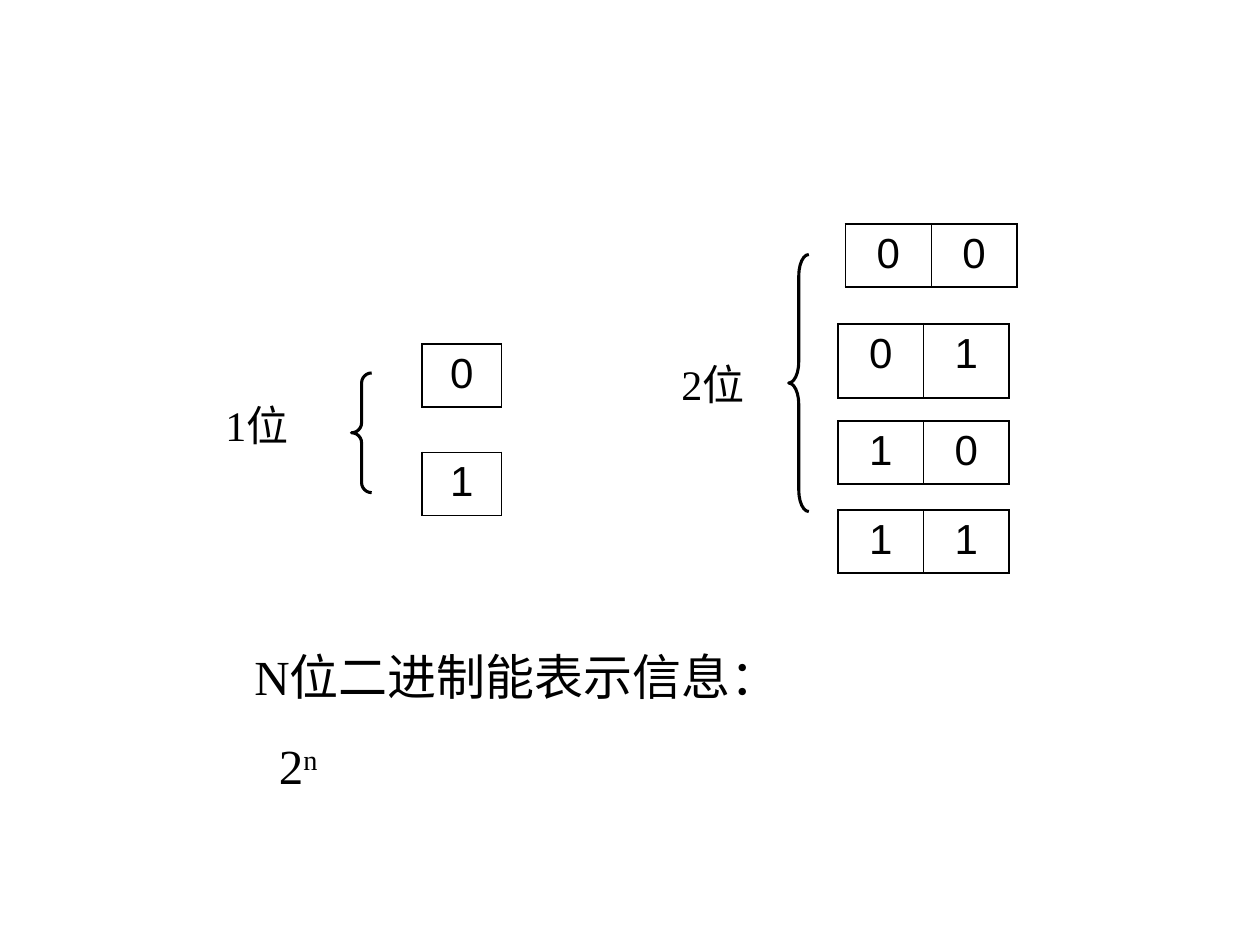
"""Build a slide showing how many values one and two bits can represent."""
from lxml import etree
from pptx import Presentation
from pptx.dml.color import RGBColor
from pptx.enum.shapes import MSO_SHAPE as SHAPE
from pptx.enum.text import MSO_AUTO_SIZE as FIT, PP_ALIGN as ALIGN
from pptx.oxml.ns import qn
from pptx.util import Inches, Pt

BLACK = "000000"
SERIF, SANS = "Times New Roman", "Arial"
THICK, THIN = 1.08, 0.45

BIT_TABLES = [
    ("0", 3.35, 2.73, 0.63, 0.5),
    ("1", 3.35, 3.59, 0.63, 0.5),
    ("00", 6.71, 1.78, 0.68, 0.5),
    ("01", 6.65, 2.57, 0.68, 0.59),
    ("10", 6.65, 3.34, 0.68, 0.5),
    ("11", 6.65, 4.05, 0.68, 0.5),
]
BRACES = [(2.79, 2.96, 0.16, 0.95, 0.5), (6.26, 2.02, 0.16, 2.04, 1.06)]
LABELS = [("1位", 1.69, 3.12), ("2位", 5.31, 2.8)]
CONCLUSION = "N位二进制能表示信息："


def color(value):
    return RGBColor.from_string(value)


def add_text(p, text, size=24, font=SERIF, align=None, baseline=None):
    r = p.add_run()
    r.text = text
    r.font.size, r.font.name, r.font.bold = Pt(size), font, False
    r.font.color.rgb = color(BLACK)
    if align is not None:
        p.alignment = align
    if baseline is not None:
        r._r.get_or_add_rPr().set("baseline", str(baseline * 1000))


def add_box(s, x, y, w, h):
    tf = s.shapes.add_textbox(*map(Inches, (x, y, w, h))).text_frame
    tf.word_wrap = True
    tf.auto_size = FIT.SHAPE_TO_FIT_TEXT
    return tf


def set_border(cell, side, width):
    tc_pr = cell._tc.get_or_add_tcPr()
    ln = etree.SubElement(tc_pr, qn(f"a:ln{side}"), w=str(Pt(width)))
    fill = etree.SubElement(ln, qn("a:solidFill"))
    etree.SubElement(fill, qn("a:srgbClr"), val=BLACK)


def add_bits(s, bits, x, y, col_w, h):
    last = len(bits) - 1
    size = map(Inches, (x, y, col_w * len(bits), h))
    table = s.shapes.add_table(1, len(bits), *size).table
    table.first_row = table.horz_banding = False
    for i, bit in enumerate(bits):
        table.columns[i].width = Inches(col_w)
        cell = table.cell(0, i)
        add_text(cell.text_frame.paragraphs[0], bit, font=SANS, align=ALIGN.CENTER)
        set_border(cell, "L", THIN if i > 0 else THICK)
        set_border(cell, "R", THIN if i < last else THICK)
        set_border(cell, "T", THICK)
        set_border(cell, "B", THICK)
        cell.fill.background()


def add_brace(s, x, y, w, h, curve):
    sp = s.shapes.add_shape(SHAPE.LEFT_BRACE, *map(Inches, (x, y, w, h)))
    sp.adjustments[0] = curve
    sp.shadow.inherit = False
    sp.fill.background()
    sp.line.color.rgb = color(BLACK)
    sp.line.width = Pt(1.75)


def main():
    prs = Presentation()
    prs.slide_width, prs.slide_height = Inches(10), Inches(7.5)
    s = prs.slides.add_slide(prs.slide_layouts[6])
    for row in BIT_TABLES:
        add_bits(s, *row)
    for brace in BRACES:
        add_brace(s, *brace)
    for text, x, y in LABELS:
        add_text(add_box(s, x, y, 0.87, 0.5).paragraphs[0], text)

    tf = add_box(s, 1.92, 5.08, 6.75, 1.28)
    add_text(tf.paragraphs[0], CONCLUSION, size=28)
    power = tf.add_paragraph()
    power.space_before = Pt(17.5)
    p_pr = power._p.get_or_add_pPr()
    p_pr.set("marL", str(Pt(14)))
    p_pr.set("indent", "0")
    add_text(power, "2", size=28)
    add_text(power, "n", size=28, baseline=30)
    prs.save("out.pptx")


if __name__ == "__main__":
    main()
